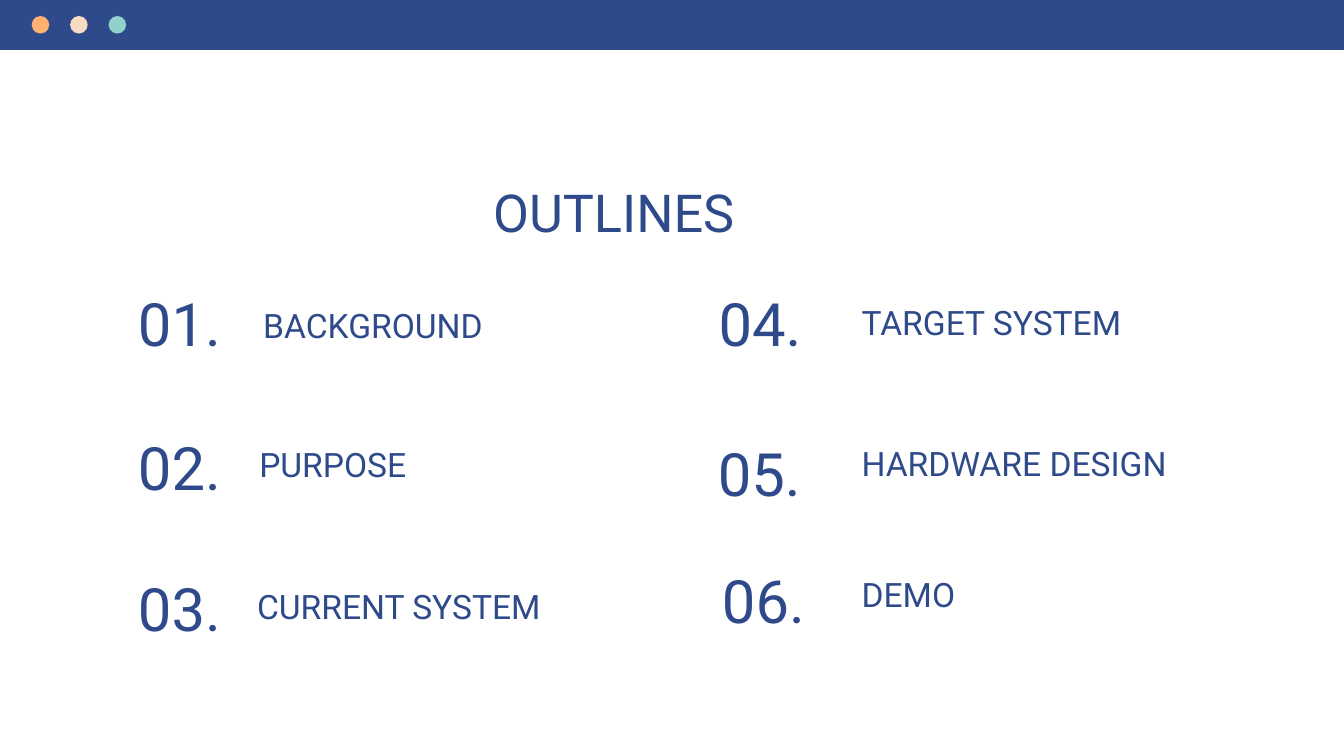
from pptx import Presentation
from pptx.dml.color import RGBColor
from pptx.enum.shapes import MSO_SHAPE
from pptx.enum.text import MSO_ANCHOR, MSO_AUTO_SIZE, PP_ALIGN
from pptx.util import Pt

NAVY = "2F4A8A"


def color(code):
    return RGBColor.from_string(code)


def write(shape, text, size, font="Roboto", ink=NAVY, align=PP_ALIGN.LEFT,
          anchor=MSO_ANCHOR.TOP, pad=3.6):
    """Fill a shape with one line of text; pad is the top and bottom inset."""
    frame = shape.text_frame
    frame.word_wrap = True
    frame.auto_size = MSO_AUTO_SIZE.NONE
    frame.vertical_anchor = anchor
    frame.margin_left = frame.margin_right = Pt(7.2)
    frame.margin_top = frame.margin_bottom = Pt(pad)
    line = frame.paragraphs[0]
    line.alignment = align
    run = line.add_run()
    run.text = text
    run.font.name = font
    run.font.size = Pt(size)
    run.font.color.rgb = color(ink)


class Page:
    def __init__(self, slide):
        self.slide = slide
        self.group = slide.shapes.add_group_shape()

    def title(self, text, box, size):
        shape = self.slide.shapes.title
        shape.left, shape.top, shape.width, shape.height = map(Pt, box)
        write(shape, text, size, pad=7.2)

    def label(self, text, box, size, **form):
        write(self.slide.shapes.add_textbox(*map(Pt, box)), text, size, **form)

    def shape(self, kind, box, fill):
        shape = self.group.shapes.add_shape(kind, *map(Pt, box))
        shape.shadow.inherit = False
        shape.fill.solid()
        shape.fill.fore_color.rgb = color(fill)
        shape.line.fill.background()


def main():
    deck = Presentation()
    deck.slide_width, deck.slide_height = Pt(720), Pt(405)
    page = Page(deck.slides.add_slide(deck.slide_layouts[5]))

    page.shape(MSO_SHAPE.RECTANGLE, (0, 0, 720, 26.8), NAVY)
    for i, fill in enumerate(("FFB172", "F8DBC4", "90D1CB")):
        page.shape(MSO_SHAPE.OVAL, (17 + 20.6 * i, 8.6, 9.4, 9.4), fill)

    page.title("OUTLINES", (257, 89.3, 607.7, 36.7), 28)

    # Topic, number box, topic box; a low number sits on its box's bottom edge
    low = dict(anchor=MSO_ANCHOR.BOTTOM, pad=7.2)
    deep = dict(pad=7.2)
    flat = {}
    topics = (
        ("BACKGROUND", (60.5, 153.4, 71.3, 46.1), low, (133.9, 156.2, 210.2, 36.7), deep),
        ("PURPOSE", (60.5, 230.1, 71.3, 46.1), low, (131.8, 230.4, 214.6, 36.7), deep),
        ("CURRENT SYSTEM", (60.5, 306, 71.3, 46.1), low, (130.6, 306.7, 210.2, 36.7), deep),
        ("TARGET SYSTEM", (371.5, 153.4, 71.3, 46.1), low, (454.5, 158.4, 360, 28.8), flat),
        ("HARDWARE DESIGN", (226.8, 230.4, 360, 46.1), flat, (454.5, 234, 410.4, 28.8), flat),
        ("DEMO", (229, 298.4, 360, 46.1), flat, (454.5, 303.8, 432, 28.8), flat),
    )
    for i, (topic, spot, form, box, style) in enumerate(topics, 1):
        page.label(f"{i:02}.", spot, 32, align=PP_ALIGN.CENTER, **form)
        page.label(topic, box, 18, **style)

    deck.save("out.pptx")


if __name__ == "__main__":
    main()
